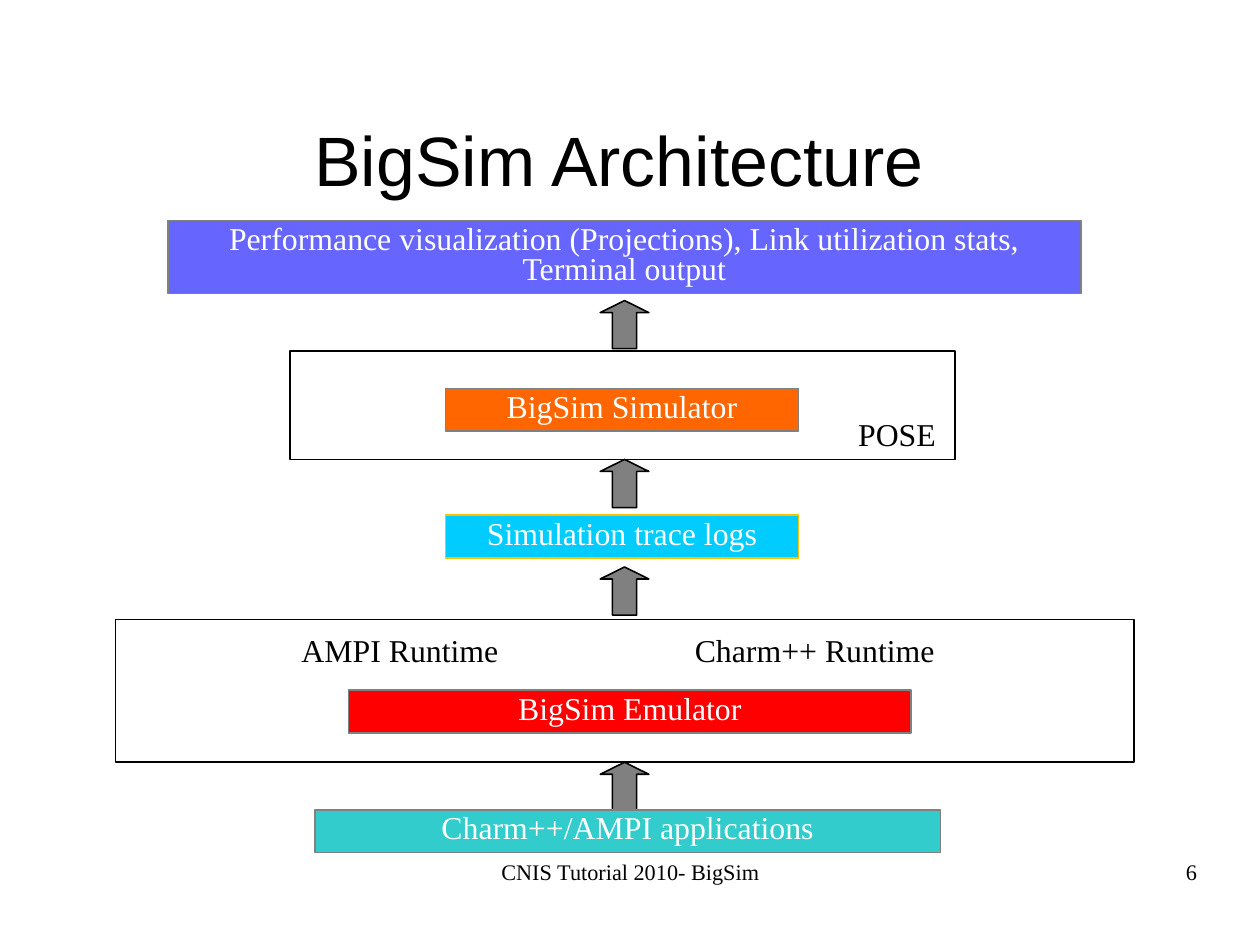
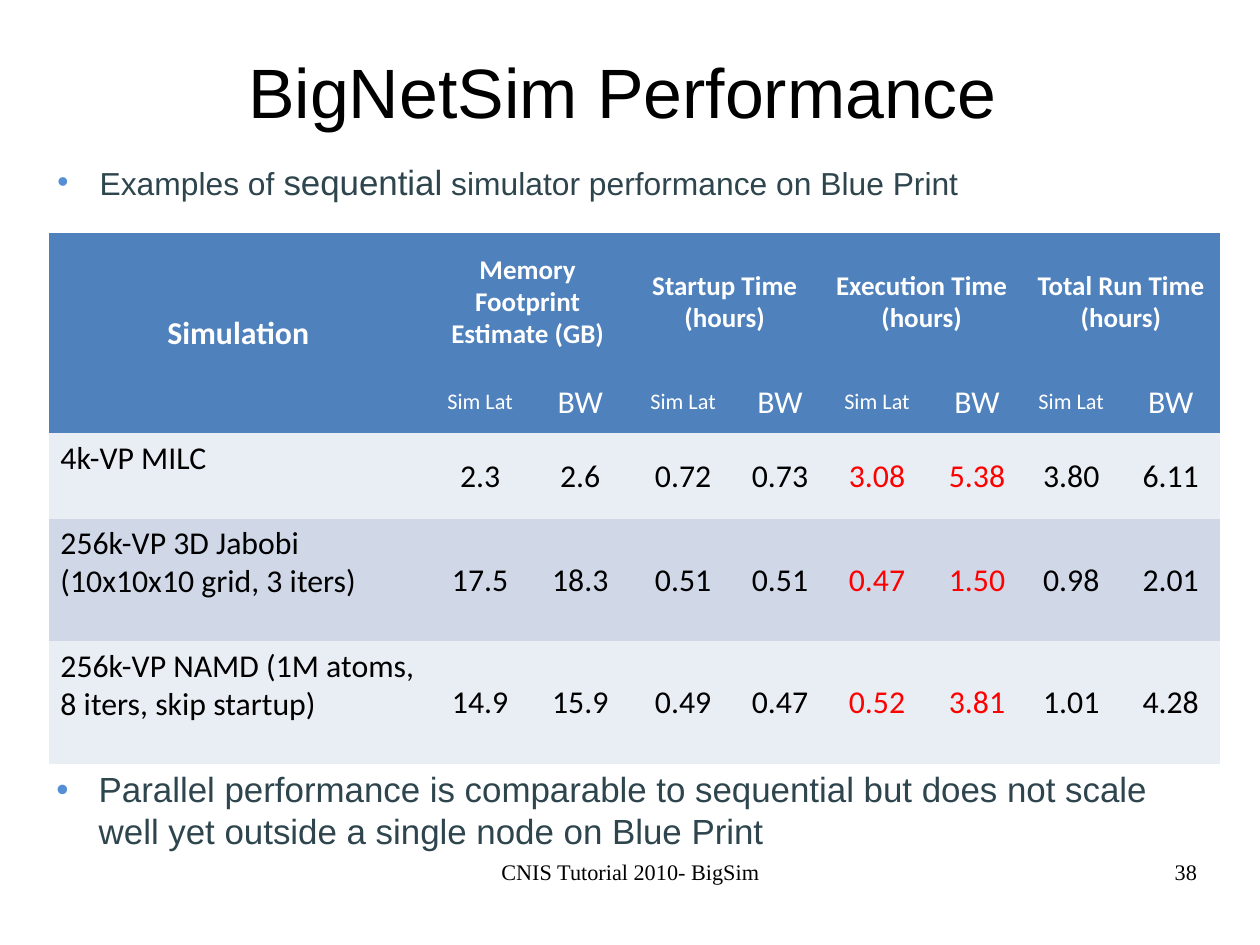
from pptx import Presentation
from pptx.dml.color import RGBColor
from pptx.enum.shapes import MSO_SHAPE as Kind
from pptx.enum.text import MSO_ANCHOR as Anchor, MSO_AUTO_SIZE as Auto, PP_ALIGN as Align
from pptx.oxml.ns import qn
from pptx.util import Cm, Pt
from lxml.etree import SubElement

HUES = {
    "black": "000000", "white": "FFFFFF", "gray": "808080", "teal": "33CCCC",
    "cyan": "00CCFF", "gold": "FFC000", "orange": "FF6600", "violet": "6666FF",
    "red": "FF0000", "head": "4F81BD", "pale": "E9EDF4", "band": "D0D8E8",
    "slate": "2E454E", "dot": "558ED5",
}
SANS, SERIF, TABLE = "Arial", "Times New Roman", "Calibri"
PLAIN = "{2D5ABB26-0587-4C30-8999-92F81FD0307C}"
MID = 13.88
COLS = [8.41, 2.34, 2.11, 2.46, 1.85, 2.46, 1.98, 2.21, 2.21]
ROWS = [3.05, 1.4, 1.9, 2.72, 2.72]
GROUPS = ["Memory Footprint Estimate (GB)", "Startup Time (hours)",
          "Execution Time (hours)", "Total Run Time (hours)"]
RUNS = [
    ("4k-VP MILC", "2.3 2.6 0.72 0.73 3.08 5.38 3.80 6.11"),
    ("256k-VP 3D Jabobi (10x10x10 grid, 3 iters)",
     "17.5 18.3 0.51 0.51 0.47 1.50 0.98 2.01"),
    ("256k-VP NAMD (1M atoms, 8 iters, skip startup)",
     "14.9 15.9 0.49 0.47 0.52 3.81 1.01 4.28"),
]


def hue(name):
    """Return the named colour."""
    return RGBColor.from_string(HUES[name])


def dot(para):
    """Give a paragraph a hanging round bullet."""
    props = para._p.get_or_add_pPr()
    props.set("marL", str(Cm(0.94)))
    props.set("indent", str(-Cm(0.94)))
    tint = SubElement(props, qn("a:buClr"))
    SubElement(tint, qn("a:srgbClr")).set("val", HUES["dot"])
    SubElement(props, qn("a:buFont")).set("typeface", SANS)
    SubElement(props, qn("a:buChar")).set("char", "•")


def write(frame, text, size=20, face=SERIF, color="black", bold=False,
          align=Align.LEFT, lead=1.0, bullet=False):
    """Write a string, or (string, size) parts, as one paragraph."""
    para = frame.paragraphs[0]
    if bullet:
        dot(para)
    para.alignment, para.line_spacing, para.space_before = align, lead, Pt(0)
    for part, points in [(text, size)] if isinstance(text, str) else text:
        run = para.add_run()
        run.text = part
        font = run.font
        font.name, font.size, font.bold = face, Pt(points), bold
        font.color.rgb = hue(color)


def setup(frame, anchor=Anchor.TOP):
    """Make a frame wrap at a fixed size."""
    frame.word_wrap, frame.auto_size = True, Auto.NONE
    frame.vertical_anchor = anchor
    return frame


def place(shape, area):
    """Move a placeholder to an area and return its frame."""
    shape.left, shape.top, shape.width, shape.height = map(Cm, area)
    return setup(shape.text_frame)


def box(slide, area, text="", fill=None, line="gray", kind=Kind.RECTANGLE):
    """Draw an outlined shape with optional white text."""
    shape = slide.shapes.add_shape(kind, *map(Cm, area))
    shape.shadow.inherit = False
    if fill:
        shape.fill.solid()
        shape.fill.fore_color.rgb = hue(fill)
    else:
        shape.fill.background()
    shape.line.color.rgb = hue(line)
    shape.line.width = Pt(1)
    if text:
        write(setup(shape.text_frame), text, color="white", align=Align.CENTER, lead=0.8)
    return shape


def label(slide, area, text, inset=True, **style):
    """Add a text box."""
    frame = setup(slide.shapes.add_textbox(*map(Cm, area)).text_frame)
    if not inset:
        frame.margin_left = frame.margin_top = frame.margin_right = frame.margin_bottom = 0
    write(frame, text, **style)


def start(deck, layout, title, left, top, number):
    """Add a slide with its title, footer and number."""
    slide = deck.slides.add_slide(deck.slide_layouts[layout])
    frame = place(slide.shapes.title, (left, top, 25.65, 2.35))
    frame.vertical_anchor = Anchor.MIDDLE
    write(frame, title, size=44, face=SANS, align=Align.CENTER)
    foot = {"inset": False, "size": 14, "lead": 0.93}
    label(slide, (9.58, 19.13, 8.86, 1.45), "CNIS Tutorial 2010- BigSim",
          align=Align.CENTER, **foot)
    label(slide, (20.07, 19.13, 6.53, 1.45), str(number), align=Align.RIGHT, **foot)
    return slide


def design(deck):
    """Build the architecture slide."""
    slide = start(deck, 5, "BigSim Architecture", 0.94, 2.34, 6)
    for area in [(6.45, 7.8, 14.78, 2.41), (2.57, 13.77, 22.63, 3.17)]:
        box(slide, area, line="black")
    for top in [6.68, 10.21, 12.6, 16.94]:
        arrow = box(slide, (MID - 0.54, top, 1.08, 1.07), fill="gray", line="black",
                    kind=Kind.UP_ARROW)
        arrow.adjustments[0], arrow.adjustments[1] = 0.5, 0.25
    stages = [
        ((3.73, 4.9, 20.29, 1.62), "Performance visualization (Projections), "
         "Link utilization stats, Terminal output", "violet", "gray"),
        ((9.9, 8.63, 7.85, 0.95), "BigSim Simulator", "orange", "gray"),
        ((9.9, 11.45, 7.85, 0.95), "Simulation trace logs", "cyan", "gold"),
        ((7.75, 15.34, 12.5, 0.95), "BigSim Emulator", "red", "gray"),
        ((7, 18, 13.9, 0.95), "Charm++/AMPI applications", "teal", "gray"),
    ]
    for stage in stages:
        box(slide, *stage)
    for left, top, width, text in [(6.45, 14.05, 6.9, "AMPI Runtime"),
                                   (15.19, 14.05, 6.9, "Charm++ Runtime"),
                                   (18.82, 9.25, 2.41, "POSE")]:
        label(slide, (left, top, width, 0.95), text, lead=0.8)


def fill(cell, text, anchor=Anchor.MIDDLE, align=Align.CENTER, **style):
    """Write text into a table cell."""
    cell.vertical_anchor = anchor
    write(cell.text_frame, text, face=TABLE, align=align, lead=0.98, **style)


def grid(slide):
    """Add the table of run times."""
    frame = slide.shapes.add_table(len(ROWS), len(COLS), Cm(1.09), Cm(5.18),
                                   Cm(sum(COLS)), Cm(sum(ROWS)))
    table = frame.table
    table.first_row = table.horz_banding = False
    for tag in frame.element.iter(qn("a:tableStyleId")):
        tag.text = PLAIN
    for col, width in zip(table.columns, COLS):
        col.width = Cm(width)
    for row, height, back in zip(table.rows, ROWS, ["head", "head", "pale", "band", "pale"]):
        row.height = Cm(height)
        for cell in row.cells:
            cell.fill.solid()
            cell.fill.fore_color.rgb = hue(back)
    table.cell(0, 0).merge(table.cell(1, 0))
    fill(table.cell(0, 0), "Simulation", color="white", bold=True)
    for col, name in zip(range(1, len(COLS), 2), GROUPS):
        table.cell(0, col).merge(table.cell(0, col + 1))
        fill(table.cell(0, col), name, size=17, color="white", bold=True)
        fill(table.cell(1, col), "Sim Lat", size=14, color="white")
        fill(table.cell(1, col + 1), "BW", color="white")
    for row, (name, values) in enumerate(RUNS, 2):
        fill(table.cell(row, 0), name, anchor=Anchor.TOP, align=Align.LEFT)
        for col, value in enumerate(values.split(), 1):
            fill(table.cell(row, col), value, color="red" if col in (5, 6) else "black")


def timing(deck):
    """Build the performance slide."""
    slide = start(deck, 3, "BigNetSim Performance", 1.02, 0.84, 38)
    grid(slide)
    points = [
        ((1.02, 3.45, 25.65, 1.63), [("Examples of ", 20), ("sequential", 22),
         (" simulator performance on Blue Print", 20)]),
        ((1, 16.94, 25.68, 2.11), "Parallel performance is comparable to sequential "
         "but does not scale well yet outside a single node on Blue Print"),
    ]
    for slot, (area, text) in enumerate(points, 1):
        write(place(slide.placeholders[slot], area), text, size=22, face=SANS,
              color="slate", bullet=True)


def main():
    """Build and save the deck."""
    deck = Presentation()
    deck.slide_width, deck.slide_height = Cm(28), Cm(21)
    design(deck)
    timing(deck)
    deck.save("out.pptx")


if __name__ == "__main__":
    main()
